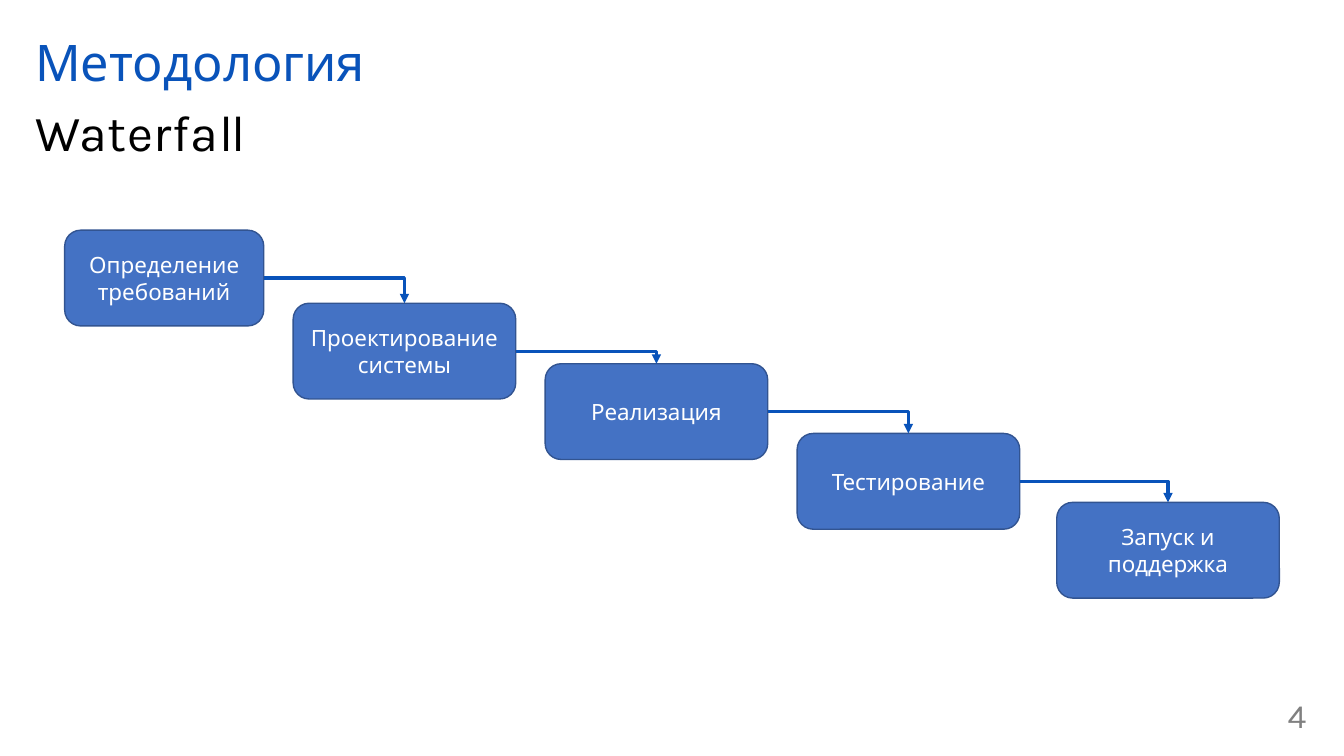
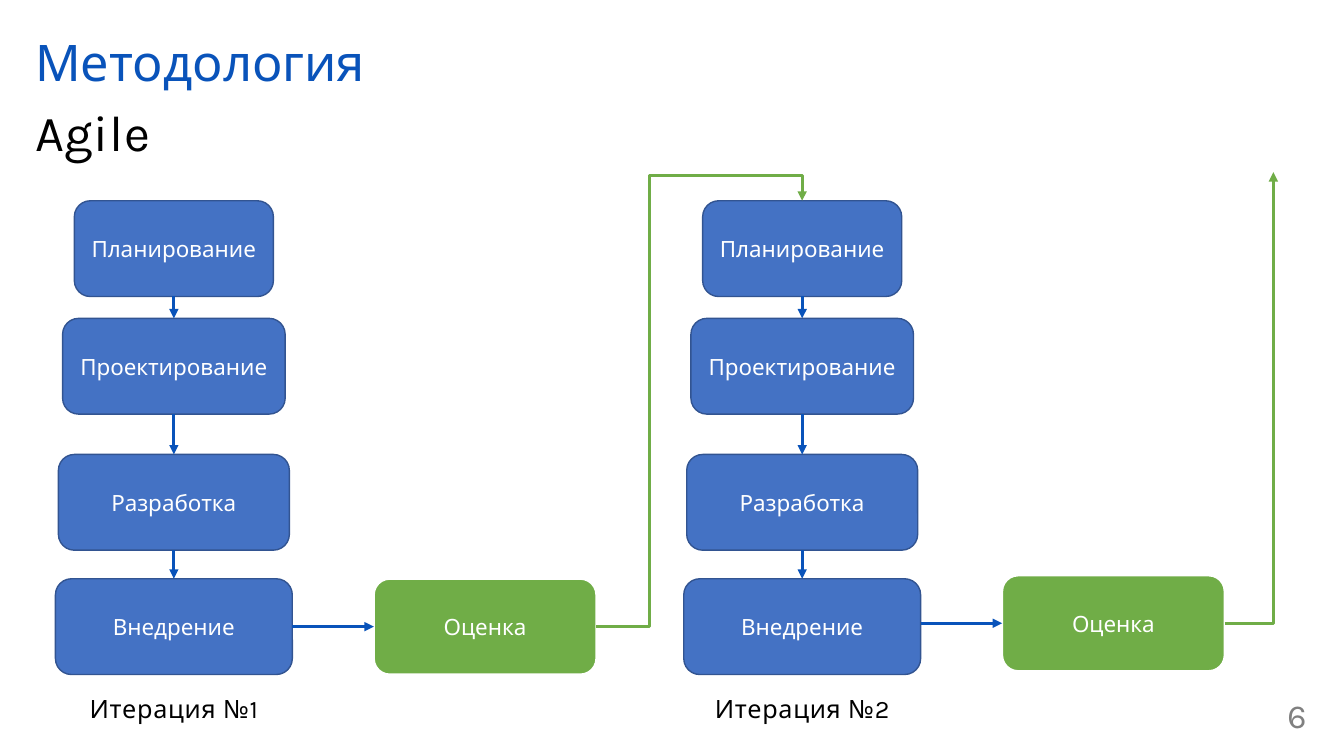
from dataclasses import dataclass
from enum import IntEnum
from typing import Optional

import pptx
import pptx.dml.color
import pptx.enum.shapes
import pptx.enum.text
import pptx.oxml
import pptx.oxml.ns
import pptx.shapes.autoshape
import pptx.shapes.connector
import pptx.slide
import pptx.util

# Shared look: the slide is a grid of 160 columns by 90 rows of square cells
COLUMNS, ROWS = 160, 90
CELL = pptx.util.Inches(7.5) // ROWS
FONT = "Karla"
COLORS = {
    "accent": "0953BA",
    "box": "4472C4",
    "box_edge": "325491",
    "review": "70AD47",
    "white": "FFFFFF",
    "black": "000000",
    "number": "808080",
}
BOX_HEIGHT = 11.4
NARROW, WIDE = 23.7, 26.5


class Side(IntEnum):
    """Connection sites of a rounded rectangle."""
    TOP = 0
    LEFT = 1
    BOTTOM = 2
    RIGHT = 3


@dataclass(frozen=True)
class TextRun:
    text: str
    spacing: float = 0  # points between letters


@dataclass(frozen=True)
class Box:
    text: str
    left: float
    top: float
    width: float = WIDE
    fill: str = "box"
    edge: str = "box_edge"
    edge_width: float = 1


@dataclass(frozen=True)
class Stage:
    text: str
    top: float
    width: float


@dataclass(frozen=True)
class Iteration:
    name: str
    center: float
    review_top: float


@dataclass(frozen=True)
class End:
    """End of an arrow, in EMU, with the shape it is glued to."""
    x: int
    y: int
    shape: Optional[pptx.shapes.autoshape.Shape] = None
    side: Side = Side.TOP


WATERFALL = [
    Box("Определение требований", 7.7, 27.4, NARROW),
    Box("Проектирование системы", 34.9, 36.1),
    Box("Реализация", 64.9, 43.3),
    Box("Тестирование", 94.9, 51.6),
    Box("Запуск и поддержка", 125.8, 59.8),
]
STAGES = [
    Stage("Планирование", 23.9, NARROW),
    Stage("Проектирование", 37.9, WIDE),
    Stage("Разработка", 54.1, 27.5),
    Stage("Внедрение", 68.9, 28.2),
]
ITERATIONS = [
    Iteration("Итерация №1", 20.7, 68.9),
    Iteration("Итерация №2", 95.5, 68.5),
]
REVIEW_OFFSET = 23.8  # from the centre of an iteration to its review


def cells(count: float) -> int:
    return round(count * CELL)


def color(name: str) -> pptx.dml.color.RGBColor:
    return pptx.dml.color.RGBColor.from_string(COLORS[name])


def style_paragraph(paragraph, size: float, color_name: str, centered: bool) -> None:
    paragraph.font.name = FONT
    paragraph.font.size = pptx.util.Pt(size)
    paragraph.font.color.rgb = color(color_name)
    alignment = pptx.enum.text.PP_ALIGN
    paragraph.alignment = alignment.CENTER if centered else alignment.LEFT


def add_text(slide: pptx.slide.Slide, runs: list[TextRun], left: float, top: float,
             width: float, height: float, size: float, color_name: str,
             centered: bool = False) -> None:
    shape = slide.shapes.add_textbox(cells(left), cells(top), cells(width), cells(height))
    frame = shape.text_frame
    frame.word_wrap = True
    frame.auto_size = pptx.enum.text.MSO_AUTO_SIZE.SHAPE_TO_FIT_TEXT
    paragraph = frame.paragraphs[0]
    for item in runs:
        run = paragraph.add_run()
        run.text = item.text
        if item.spacing:
            run._r.get_or_add_rPr().set("spc", str(round(item.spacing * 100)))
    style_paragraph(paragraph, size, color_name, centered)


def add_box(slide: pptx.slide.Slide, box: Box) -> pptx.shapes.autoshape.Shape:
    shape = slide.shapes.add_shape(
        pptx.enum.shapes.MSO_SHAPE.ROUNDED_RECTANGLE,
        cells(box.left), cells(box.top), cells(box.width), cells(BOX_HEIGHT))
    shape.shadow.inherit = False
    shape.fill.solid()
    shape.fill.fore_color.rgb = color(box.fill)
    shape.line.color.rgb = color(box.edge)
    shape.line.width = pptx.util.Pt(box.edge_width)
    frame = shape.text_frame
    frame.word_wrap = True
    frame.vertical_anchor = pptx.enum.text.MSO_ANCHOR.MIDDLE
    frame.text = box.text
    style_paragraph(frame.paragraphs[0], 16, "white", centered=True)
    return shape


def glue(shape: pptx.shapes.autoshape.Shape, side: Side) -> End:
    middle_x = shape.left + shape.width // 2
    middle_y = shape.top + shape.height // 2
    x, y = {
        Side.TOP: (middle_x, shape.top),
        Side.LEFT: (shape.left, middle_y),
        Side.BOTTOM: (middle_x, shape.top + shape.height),
        Side.RIGHT: (shape.left + shape.width, middle_y),
    }[side]
    return End(x, y, shape, side)


def add_arrow(slide: pptx.slide.Slide, begin: End, end: End, color_name: str = "accent",
              preset: str = "straightConnector1",
              adjustments: tuple[float, ...] = ()) -> pptx.shapes.connector.Connector:
    kinds = pptx.enum.shapes.MSO_CONNECTOR
    kind = kinds.ELBOW if preset.startswith("bent") else kinds.STRAIGHT
    connector = slide.shapes.add_connector(kind, begin.x, begin.y, end.x, end.y)
    if begin.shape is not None:
        connector.begin_connect(begin.shape, begin.side)
    if end.shape is not None:
        connector.end_connect(end.shape, end.side)
    connector.line.color.rgb = color(color_name)
    connector.line.width = pptx.util.Pt(2.25)

    # Bend, arrowhead and empty effect list
    qualified = pptx.oxml.ns.qn
    properties = connector._element.spPr
    geometry = properties.find(qualified("a:prstGeom"))
    geometry.set("prst", preset)
    namespace = pptx.oxml.ns.nsdecls("a")
    for number, share in enumerate(adjustments, 1):
        geometry.find(qualified("a:avLst")).append(pptx.oxml.parse_xml(
            f'<a:gd {namespace} name="adj{number}" fmla="val {round(share * 100000)}"/>'))
    properties.find(qualified("a:ln")).append(
        pptx.oxml.parse_xml(f'<a:tailEnd {namespace} type="triangle"/>'))
    properties.append(pptx.oxml.parse_xml(f"<a:effectLst {namespace}/>"))
    return connector


def add_slide(presentation, subtitle: list[TextRun], number: int) -> pptx.slide.Slide:
    slide = presentation.slides.add_slide(presentation.slide_layouts[6])
    add_text(slide, [TextRun("Методология")], 3, 3.1, 99.5, 8.5, 36, "accent")
    add_text(slide, subtitle, 3, 11.5, 99.5, 8.5, 36, "black")
    add_text(slide, [TextRun(str(number))], 150, 82.1, 8.8, 6, 24, "number", centered=True)
    return slide


def add_waterfall(slide: pptx.slide.Slide) -> None:
    shapes = [add_box(slide, box) for box in WATERFALL]
    for upper, lower in zip(shapes, shapes[1:]):
        add_arrow(slide, glue(upper, Side.RIGHT), glue(lower, Side.TOP),
                  preset="bentConnector2")


def add_iteration(slide: pptx.slide.Slide, iteration: Iteration):
    """Draw one column of stages with its review; return the first stage and the review."""
    shapes = [add_box(slide, Box(stage.text, iteration.center - stage.width / 2,
                                 stage.top, stage.width))
              for stage in STAGES]
    for upper, lower in zip(shapes, shapes[1:]):
        add_arrow(slide, glue(upper, Side.BOTTOM), glue(lower, Side.TOP))

    # Level arrow to the review
    review = add_box(slide, Box("Оценка", iteration.center + REVIEW_OFFSET,
                                iteration.review_top, WIDE, "review", "white", 1.5))
    target = glue(review, Side.LEFT)
    add_arrow(slide, End(shapes[-1].left + shapes[-1].width, target.y), target)

    label_width = 32.2
    add_text(slide, [TextRun(iteration.name, 0.5)], iteration.center - label_width / 2,
             82, label_width, 4.8, 18, "black", centered=True)
    return shapes[0], review


def add_agile(slide: pptx.slide.Slide) -> None:
    (_, first_review), (second_start, second_review) = [
        add_iteration(slide, iteration) for iteration in ITERATIONS]
    # Feedback into the next iteration, then onwards
    add_arrow(slide, glue(first_review, Side.RIGHT), glue(second_start, Side.TOP),
              "review", "bentConnector4", (0.26, 1.06))
    add_arrow(slide, glue(second_review, Side.RIGHT), End(cells(151.6), cells(20.5)),
              "review", "bentConnector2")


def main() -> None:
    presentation = pptx.Presentation()
    presentation.slide_width = cells(COLUMNS)
    presentation.slide_height = cells(ROWS)
    add_waterfall(add_slide(
        presentation,
        [TextRun("Waterf", 0.5), TextRun("a", 0.3), TextRun("ll", -1.1)], 4))
    add_agile(add_slide(presentation, [TextRun("Agile", 0.5)], 6))
    presentation.save("out.pptx")


if __name__ == "__main__":
    main()
